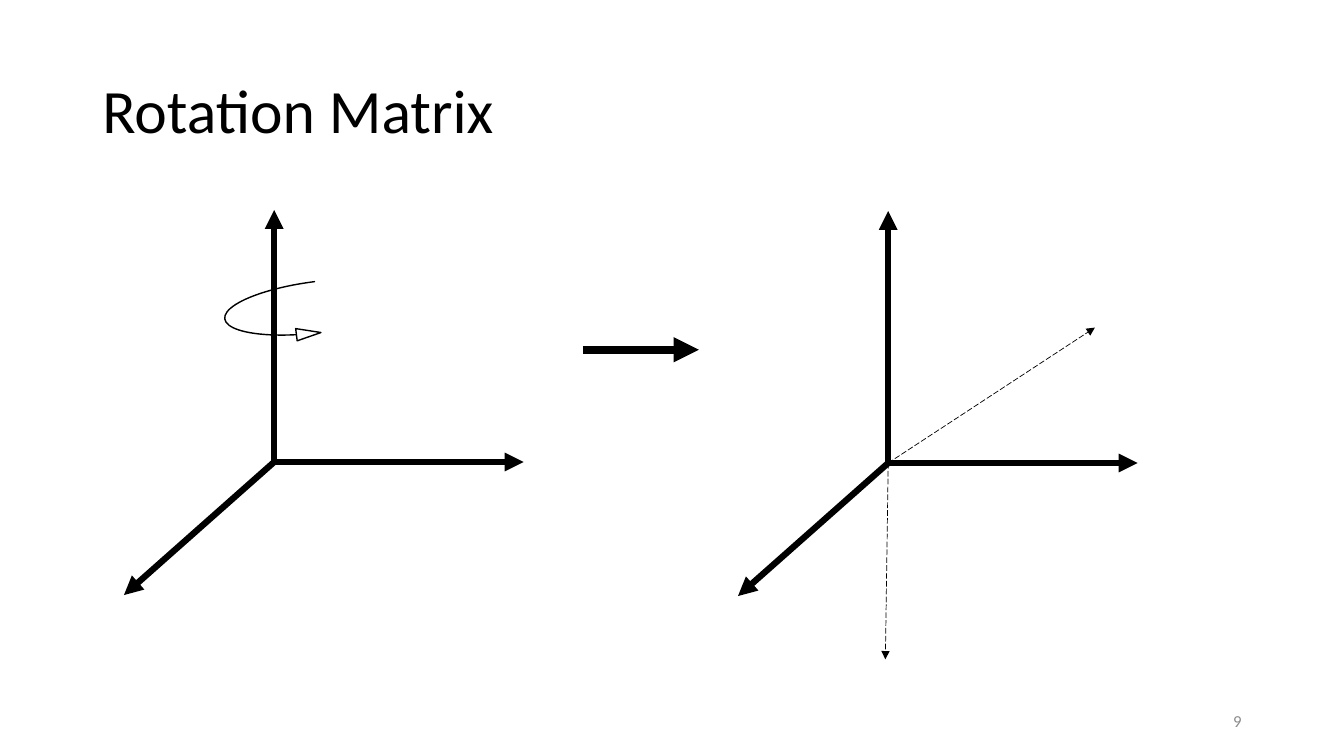
from dataclasses import dataclass

from lxml.etree import SubElement
from pptx import Presentation
from pptx.dml.color import RGBColor
from pptx.enum.dml import MSO_LINE
from pptx.enum.shapes import MSO_CONNECTOR, MSO_SHAPE
from pptx.enum.text import MSO_ANCHOR, PP_ALIGN
from pptx.oxml.ns import qn
from pptx.util import Inches, Pt


@dataclass(frozen=True)
class Theme:
    font: str = "Calibri"
    ink: RGBColor = RGBColor(0x00, 0x00, 0x00)
    muted: RGBColor = RGBColor(0x8C, 0x8C, 0x8C)
    title_size: int = 44
    number_size: int = 12
    axis_width: float = 4.5
    step_width: float = 6
    guide_width: float = 0.5
    turn_width: float = 1


THEME = Theme()
WIDTH, HEIGHT = Inches(13.33), Inches(7.5)
COLUMNS, ROWS = 160, 90
AXIS_LENGTH = 30


def column(count):
    return round(WIDTH * count / COLUMNS)


def row(count):
    return round(HEIGHT * count / ROWS)


def frame(left, top, width, height):
    return column(left), row(top), column(width), row(height)


def add_text(slide, text, box, size, color, alignment, line_spacing=1.0):
    text_frame = slide.shapes.add_textbox(*frame(*box)).text_frame
    text_frame.word_wrap = True
    text_frame.vertical_anchor = MSO_ANCHOR.MIDDLE
    paragraph = text_frame.paragraphs[0]
    paragraph.text = text
    paragraph.alignment = alignment
    paragraph.line_spacing = line_spacing
    paragraph.font.name = THEME.font
    paragraph.font.size = Pt(size)
    paragraph.font.color.rgb = color


def add_arrow(slide, start, end, width, dash=None):
    arrow = slide.shapes.add_connector(
        MSO_CONNECTOR.STRAIGHT,
        column(start[0]), row(start[1]), column(end[0]), row(end[1]),
    )
    arrow.line.color.rgb = THEME.ink
    arrow.line.width = Pt(width)
    if dash is not None:
        arrow.line.dash_style = dash
    SubElement(arrow.line._get_or_add_ln(), qn("a:tailEnd"), type="triangle")
    SubElement(arrow._element.spPr, qn("a:effectLst"))


def add_axes(slide, origin):
    x, y = origin
    add_arrow(slide, origin, (x, y - AXIS_LENGTH), THEME.axis_width)
    add_arrow(slide, (x - 0.3, y), (x - 0.3 + AXIS_LENGTH, y), THEME.axis_width)
    add_arrow(slide, origin, (x - 17.88, y + 15.84), THEME.axis_width)


def add_turn(slide, box, rotation):
    turn = slide.shapes.add_shape(MSO_SHAPE.CURVED_RIGHT_ARROW, *frame(*box))
    for index, value in enumerate((0, 0.215, 0.428)):
        turn.adjustments[index] = value
    turn.rotation = rotation
    turn.shadow.inherit = False
    turn.fill.background()
    turn.line.color.rgb = THEME.ink
    turn.line.width = Pt(THEME.turn_width)


def main():
    presentation = Presentation()
    presentation.slide_width, presentation.slide_height = WIDTH, HEIGHT
    slide = presentation.slides.add_slide(presentation.slide_layouts[6])

    add_text(slide, "Rotation Matrix", (11, 4.8, 138, 17.4),
             THEME.title_size, THEME.ink, PP_ALIGN.LEFT, 0.9)

    add_axes(slide, (32.64, 55))
    add_turn(slide, (26.76, 34.2, 11.16, 6.84), 352.8)
    add_arrow(slide, (69.4, 41.64), (83.2, 41.64), THEME.step_width)

    rotated_origin = (105.74, 55.12)
    add_axes(slide, rotated_origin)
    for end in ((105.4, 78.5), (130.35, 39)):
        add_arrow(slide, rotated_origin, end, THEME.guide_width, MSO_LINE.LONG_DASH)

    add_text(slide, "9", (113, 83.4, 36, 4.8),
             THEME.number_size, THEME.muted, PP_ALIGN.RIGHT)
    presentation.save("out.pptx")


if __name__ == "__main__":
    main()
